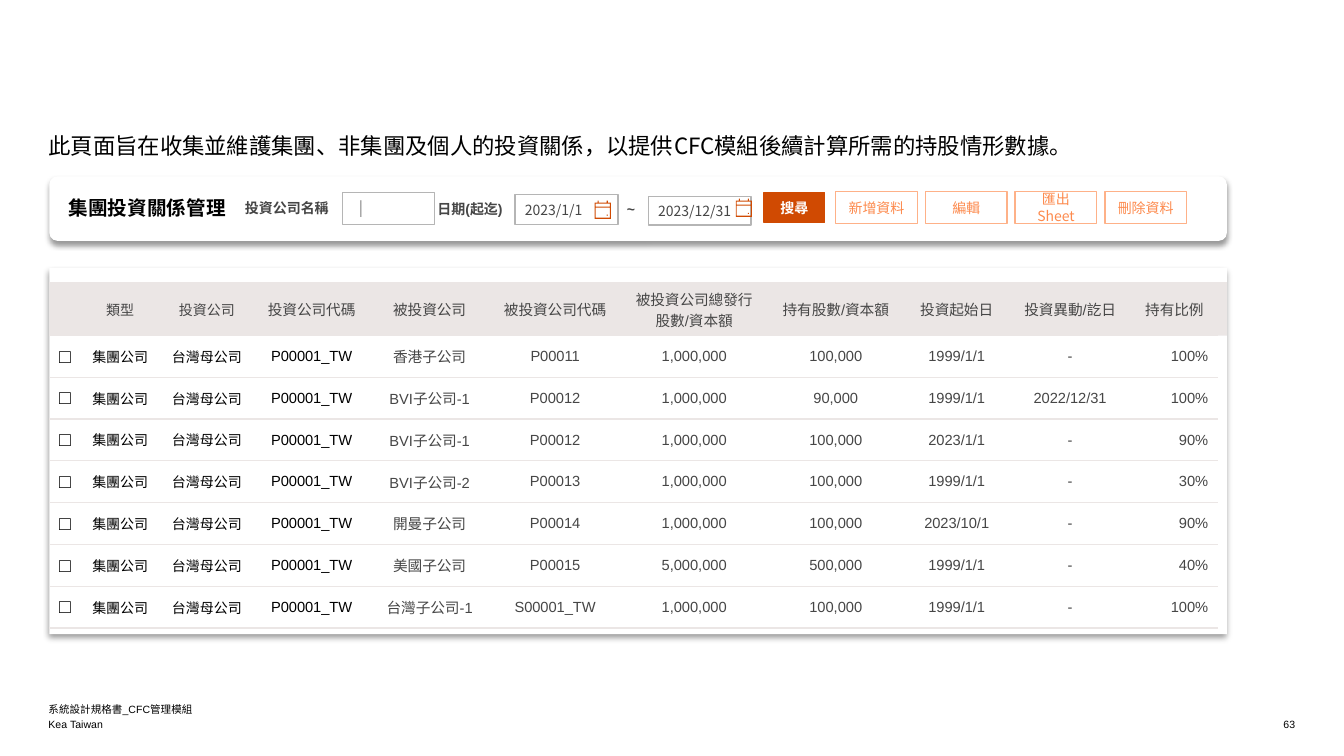
from lxml import etree
from pptx import Presentation
from pptx.dml.color import RGBColor
from pptx.enum.shapes import MSO_SHAPE
from pptx.enum.text import MSO_ANCHOR, PP_ALIGN
from pptx.oxml.ns import qn
from pptx.util import Pt

LEFT, CENTER, RIGHT = PP_ALIGN.LEFT, PP_ALIGN.CENTER, PP_ALIGN.RIGHT
TOP, MIDDLE, BOTTOM = MSO_ANCHOR.TOP, MSO_ANCHOR.MIDDLE, MSO_ANCHOR.BOTTOM
RECT, ROUNDED = MSO_SHAPE.RECTANGLE, MSO_SHAPE.ROUNDED_RECTANGLE
TOP_ROUNDED = MSO_SHAPE.ROUND_2_SAME_RECTANGLE

ARIAL, NOTO = "Arial", "Noto Sans CJK SC"
BLACK, WHITE, GRAY = "000000", "FFFFFF", "464646"
ORANGE, BAND, FIELD_LINE = "D04A02", "EBE6E5", "B5B5B5"
BUTTON_LINE, BUTTON_TEXT = "FEB188", "FD8A4D"

COLUMN_WIDTHS = [22.3, 56.9, 67, 82.8, 85.7, 93.6, 105.1, 97.2, 75.6, 86.4, 62.6]
HEADER_HEIGHT, ROW_HEIGHT = 36.6, 29.85
HEADERS = ["", "類型", "投資公司", "投資公司代碼", "被投資公司", "被投資公司代碼",
           "被投資公司總發行股數/資本額", "持有股數/資本額", "投資起始日",
           "投資異動/訖日", "持有比例"]
INVESTOR = ["□", "集團公司", "台灣母公司", "P00001_TW"]
INVESTEES = [
    ["香港子公司", "P00011", "1,000,000", "100,000", "1999/1/1", "-", "100%"],
    ["BVI子公司-1", "P00012", "1,000,000", "90,000", "1999/1/1", "2022/12/31", "100%"],
    ["BVI子公司-1", "P00012", "1,000,000", "100,000", "2023/1/1", "-", "90%"],
    ["BVI子公司-2", "P00013", "1,000,000", "100,000", "1999/1/1", "-", "30%"],
    ["開曼子公司", "P00014", "1,000,000", "100,000", "2023/10/1", "-", "90%"],
    ["美國子公司", "P00015", "5,000,000", "500,000", "1999/1/1", "-", "40%"],
    ["台灣子公司-1", "S00001_TW", "1,000,000", "100,000", "1999/1/1", "-", "100%"],
]
BUTTONS = ["新增資料", "編輯", "匯出Sheet", "刪除資料"]


def rgb(color):
    return RGBColor.from_string(color)


def write(frame, text, size=10, font=ARIAL, color=GRAY, bold=False, align=LEFT):
    paragraph = frame.paragraphs[0]
    paragraph.alignment = align
    run = paragraph.add_run()
    run.text = text
    run.font.size, run.font.name, run.font.bold = Pt(size), font, bold
    run.font.color.rgb = rgb(color)
    etree.SubElement(run.font._element, qn("a:ea"), typeface=NOTO)


def set_flush(frame, anchor):
    frame.word_wrap = True
    frame.vertical_anchor = anchor
    frame.margin_left = frame.margin_right = frame.margin_top = frame.margin_bottom = 0


def add_label(slide, box, text, anchor=TOP, **style):
    frame = slide.shapes.add_textbox(*map(Pt, box)).text_frame
    set_flush(frame, anchor)
    write(frame, text, **style)


def add_block(slide, box, kind=RECT, fill=WHITE, line=None, text="", **style):
    block = slide.shapes.add_shape(kind, *map(Pt, box))
    block.shadow.inherit = False
    block.fill.solid()
    block.fill.fore_color.rgb = rgb(fill)
    if line:
        block.line.color.rgb = rgb(line)
        block.line.width = Pt(1)
    else:
        block.line.fill.background()
    if text:
        block.text_frame.word_wrap = True
        block.text_frame.vertical_anchor = MIDDLE
        write(block.text_frame, text, **style)
    return block


def add_card(slide, box, kind, adjustments):
    """White panel with a soft shadow below it."""
    card = add_block(slide, box, kind)
    for index, value in enumerate(adjustments):
        card.adjustments[index] = value
    effects = card._element.spPr.find(qn("a:effectLst"))
    shadow = etree.SubElement(effects, qn("a:outerShdw"), blurRad=str(Pt(4)),
                              dist=str(Pt(3)), dir="5400000", rotWithShape="0")
    tint = etree.SubElement(shadow, qn("a:srgbClr"), val=BLACK)
    etree.SubElement(tint, qn("a:alpha"), val="40000")


def add_calendar(slide, x, y):
    """Calendar icon; its outline is in tenths of a point."""
    outline = [(0, 14), (22, 14), (22, 0), (29, 0), (29, 14), (86, 14), (86, 0),
               (94, 0), (94, 14), (115, 14), (115, 130), (0, 130)]
    builder = slide.shapes.build_freeform(*outline[0], scale=Pt(0.1))
    builder.add_line_segments(outline[1:])
    for left, top, right, bottom in [(7, 50, 108, 122), (7, 22, 108, 43), (86, 101, 94, 108)]:
        builder.move_to(left, top)
        builder.add_line_segments([(right, top), (right, bottom), (left, bottom)])
    icon = builder.convert_to_shape(Pt(x), Pt(y))
    icon.shadow.inherit = False
    icon.fill.solid()
    icon.fill.fore_color.rgb = rgb(ORANGE)
    icon.line.fill.background()


def add_date_field(slide, box, date, icon_dx, icon_dy):
    add_block(slide, box, line=FIELD_LINE, text=date, font=NOTO)
    add_calendar(slide, box[0] + icon_dx, box[1] + icon_dy)


def set_borders(cell, **colors):
    properties = cell._tc.get_or_add_tcPr()
    for side in "LRTB":
        line = etree.SubElement(properties, qn("a:ln" + side), w=str(Pt(1)))
        if side in colors:
            fill = etree.SubElement(line, qn("a:solidFill"))
            etree.SubElement(fill, qn("a:srgbClr"), val=colors[side])
        else:
            etree.SubElement(line, qn("a:noFill"))


def cell_style(row, column):
    if row == 0:
        return dict(size=10 if column < 3 else 10.5, align=CENTER,
                    font=NOTO if 3 <= column <= 5 else ARIAL)
    if column == 0:
        return dict(size=14, color=BLACK)
    return dict(size=10 if column < 3 else 10.5, color=BLACK if column < 4 else GRAY,
                align=RIGHT if column == 10 else CENTER)


def add_title(slide, box, text):
    title = slide.shapes.title
    title.left, title.top, title.width, title.height = map(Pt, box)
    set_flush(title.text_frame, TOP)
    write(title.text_frame, text, size=16, font=NOTO, color=BLACK)


def add_search_bar(slide, box):
    x, y = box[:2]
    add_card(slide, box, ROUNDED, [0.122])
    add_label(slide, (x + 13.7, y + 13.7, 162, 17.3), "集團投資關係管理",
              size=14, color=BLACK, bold=True)
    add_label(slide, (x + 139.7, y + 16.6, 66, 12.2), "投資公司名稱", bold=True)
    add_block(slide, (x + 209.5, y + 11.5, 65.5, 23), line=FIELD_LINE, text="｜", size=12)
    add_label(slide, (x + 277.2, y + 17.3, 65, 12.2), "日期(起迄)", bold=True)
    add_date_field(slide, (x + 332.6, y + 13, 73.5, 21.6), "2023/1/1", 56.9, 4.3)
    add_date_field(slide, (x + 427.7, y + 14.4, 73.5, 20.2), "2023/12/31", 62.6, 1.5)
    add_label(slide, (x + 412.5, y + 17.3, 29.5, 12.2), "~", bold=True)
    add_block(slide, (x + 510.5, y + 11.5, 43.2, 21.6), fill=ORANGE, line=ORANGE,
              text="搜尋", color=WHITE, bold=True, align=CENTER)
    for index, caption in enumerate(BUTTONS):
        add_block(slide, (x + 561.6 + 64.1 * index, y + 10.8, 58.3, 23), line=BUTTON_LINE,
                  text=caption, font=NOTO, color=BUTTON_TEXT, align=CENTER)


def add_holdings(slide, box):
    x, y, width, _ = box
    add_card(slide, box, TOP_ROUNDED, [0, 0])
    add_block(slide, (x, y + 10.1, width, 38.2), fill=BAND)
    rows = [HEADERS] + [INVESTOR + investee for investee in INVESTEES]
    table_box = (x - 0.2, y + 10.6, sum(COLUMN_WIDTHS),
                 HEADER_HEIGHT + ROW_HEIGHT * len(INVESTEES))
    table = slide.shapes.add_table(len(rows), len(HEADERS), *map(Pt, table_box)).table
    table.first_row = table.horz_banding = False
    for column, column_width in enumerate(COLUMN_WIDTHS):
        table.columns[column].width = Pt(column_width)
    for row, values in enumerate(rows):
        table.rows[row].height = Pt(ROW_HEIGHT if row else HEADER_HEIGHT)
        for column, value in enumerate(values):
            cell = table.cell(row, column)
            set_borders(cell, T=BAND, B=BAND)
            cell.fill.background()
            cell.vertical_anchor = MIDDLE
            if value:
                write(cell.text_frame, value, **cell_style(row, column))


def add_footer(slide, box):
    x, y, width, height = box
    line = height / 2
    style = dict(anchor=BOTTOM, size=7.5, color=BLACK)
    add_label(slide, (x, y, 431, line), "系統設計規格書_CFC管理模組", **style)
    add_label(slide, (x, y + line, 431, line), "Kea Taiwan", **style)
    add_label(slide, (x + width - 139, y + line, 139, line), "63", align=RIGHT, **style)


def main():
    deck = Presentation()
    deck.slide_width, deck.slide_height = Pt(960), Pt(540)
    slide = deck.slides.add_slide(deck.slide_layouts[5])
    add_title(slide, (34.6, 94.3, 769.7, 19.4),
              "此頁面旨在收集並維護集團、非集團及個人的投資關係，以提供CFC模組後續計算所需的持股情形數據。")
    add_holdings(slide, (35.3, 191.5, 841, 261.4))
    add_search_bar(slide, (35.3, 126, 841, 46))
    add_footer(slide, (34.6, 500.4, 890.6, 21.6))
    deck.save("out.pptx")


if __name__ == "__main__":
    main()
